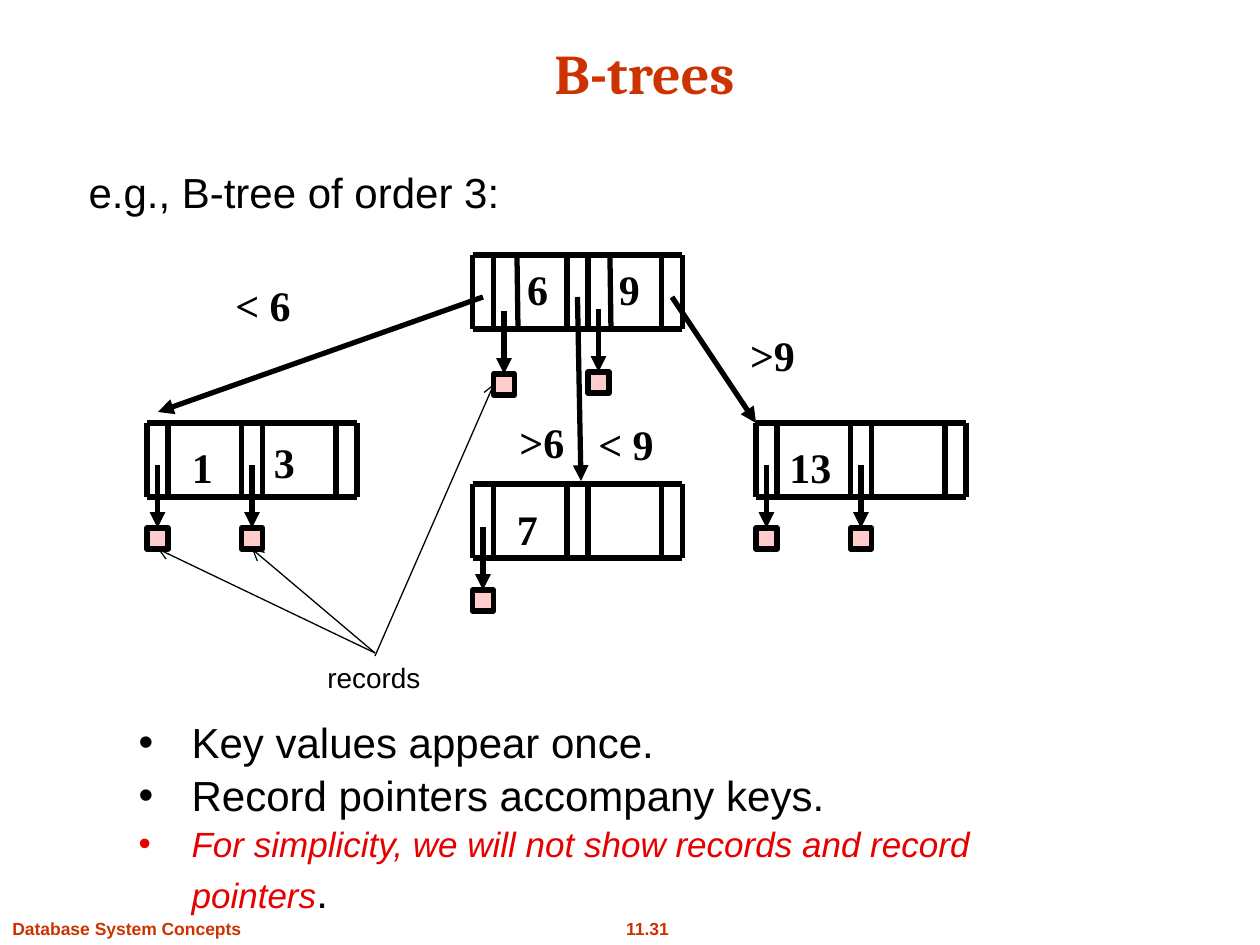
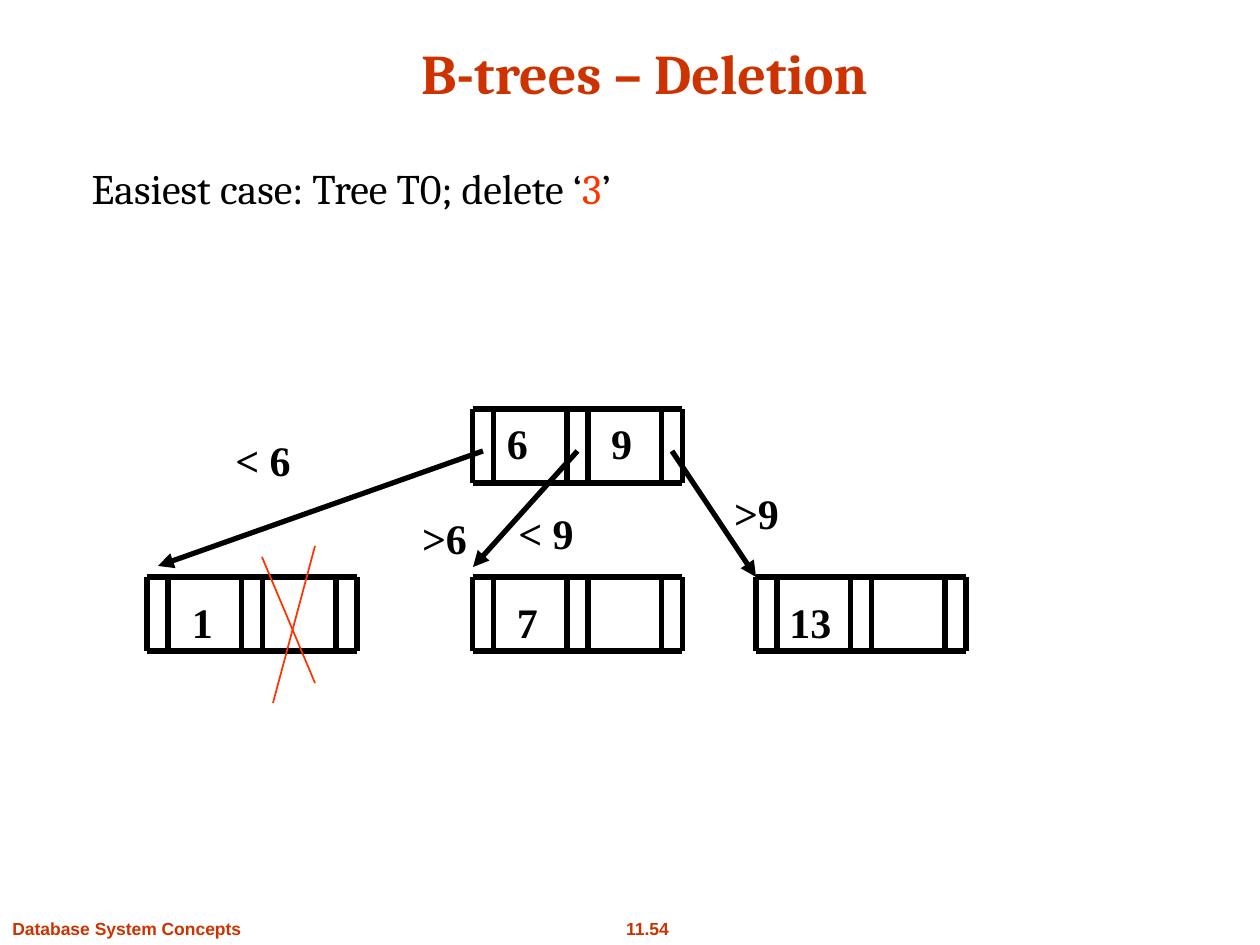
from dataclasses import dataclass

from lxml import etree
from pptx import Presentation, util as u
from pptx.dml.color import RGBColor
from pptx.enum import shapes, text
from pptx.oxml.ns import qn


# Colours, fonts and type sizes shared by the slides
@dataclass(frozen=True)
class Theme:
    ink: str = "000000"
    brand: str = "CC3300"
    note: str = "E60000"
    mark: str = "FF3300"
    pink: str = "FFCCCC"
    head: str = "Cambria"
    sans: str = "Arial"
    serif: str = "Times New Roman"
    title: int = 32
    body: int = 24
    aside: int = 20
    small: int = 16
    foot: int = 10
    thick: float = 3
    thin: float = 0.75
    lead: float = 1.05


T = Theme()
MID, LEFT = text.PP_ALIGN.CENTER, text.PP_ALIGN.LEFT

# Node geometry: pointer columns, one pitch apart
PTR, PITCH, TALL = 21, 94.5, 74
WIDE = 2 * PITCH + PTR
LEAF, ROOT, RIGHT = 147, 472.5, 756


def px(n):
    return u.Emu(round(n * 914400 / 126))


def style(run, font, size, color, bold=False, italic=False):
    run.font.name, run.font.size = font, u.Pt(size)
    run.font.bold, run.font.italic = bold, italic
    run.font.color.rgb = RGBColor.from_string(color)


def place(shape, box):
    shape.left, shape.top, shape.width, shape.height = map(px, box)


def fill(para, parts):
    """Write styled runs; each part is (words, font, size, colour, ...)."""
    for words, *look in parts:
        run = para.add_run()
        run.text = words
        style(run, *look)
    para.line_spacing = T.lead
    para.space_before = u.Pt(0)


def label(slide, words, box, font=T.serif, size=T.body, color=T.ink,
          bold=True, align=MID):
    shape = slide.shapes.add_textbox(*map(px, box))
    shape.text_frame.word_wrap = False
    para = shape.text_frame.paragraphs[0]
    para.alignment = align
    fill(para, [(words, font, size, color, bold)])


def line(group, start, end, color=T.ink, width=T.thick, tip=None):
    link = group.add_connector(shapes.MSO_CONNECTOR.STRAIGHT,
                               *map(px, (*start, *end)))
    link.line.color.rgb = RGBColor.from_string(color)
    link.line.width = u.Pt(width)
    if tip:
        etree.SubElement(link.line._get_or_add_ln(), qn("a:tailEnd"), type=tip)
    etree.SubElement(link._element.spPr, qn("a:effectLst"))


def node(slide, x, y):
    """Two key cells between three pointer columns."""
    group = slide.shapes.add_group_shape().shapes
    for col in range(3):
        for edge in (0, PTR):
            at = x + col * PITCH + edge
            line(group, (at, y), (at, y + TALL))
    for at in (y, y + TALL):
        line(group, (x, at), (x + WIDE, at))


def record(slide, x, y):
    """A record box hanging below a pointer that starts at x, y."""
    line(slide.shapes, (x, y), (x, y + 63), tip="triangle")
    box = slide.shapes.add_shape(shapes.MSO_SHAPE.RECTANGLE,
                                 *map(px, (x - PTR / 2, y + 63, PTR, PTR)))
    box.shadow.inherit = False
    box.fill.solid()
    box.fill.fore_color.rgb = RGBColor.from_string(T.pink)
    box.line.color.rgb = RGBColor.from_string(T.ink)
    box.line.width = u.Pt(T.thick)


def tree(slide, top, low, mid, tip):
    """A root at top, outer leaves at low, a middle leaf at mid."""
    for x, y in ((ROOT, top), (LEAF, low), (ROOT, mid), (RIGHT, low)):
        node(slide, x, y)
    ends = ((LEAF + 11, low - 11), tip, (RIGHT, low))
    for col, end in enumerate(ends):
        start = (ROOT + PTR / 2 + col * PITCH, top + 42)
        line(slide.shapes, start, end, tip="triangle")


def keys(slide, spots):
    for words, x, y, wide in spots:
        label(slide, words, (x, y, wide, 63))


def intro(slide, box, parts):
    shape = slide.placeholders[1]
    place(shape, box)
    shape.text_frame.auto_size = text.MSO_AUTO_SIZE.NONE
    para = shape.text_frame.paragraphs[0]
    fill(para, parts)
    etree.SubElement(para._p.get_or_add_pPr(), qn("a:buNone"))


def points(slide, box, items):
    shape = slide.placeholders[2]
    place(shape, box)
    frame = shape.text_frame
    frame.auto_size = text.MSO_AUTO_SIZE.NONE
    for i, parts in enumerate(items):
        para = frame.add_paragraph() if i else frame.paragraphs[0]
        fill(para, parts)
        props = para._p.get_or_add_pPr()
        props.set("marL", str(px(53)))
        props.set("indent", str(-px(53)))
        etree.SubElement(props, qn("a:buSzPts"), val=str(T.body * 100))
        etree.SubElement(props, qn("a:buChar"), char="•")


def start(prs, layout, title, page):
    """Add a slide with its title and footer."""
    slide = prs.slides.add_slide(prs.slide_layouts[layout])
    head = slide.shapes.title
    place(head, (88, 28, 1113, 84))
    frame = head.text_frame
    frame.text = title
    frame.auto_size = text.MSO_AUTO_SIZE.NONE
    frame.vertical_anchor = text.MSO_ANCHOR.BOTTOM
    frame.paragraphs[0].alignment = MID
    style(frame.paragraphs[0].runs[0], T.head, T.title, T.brand, True)
    foot = (T.sans, T.foot, T.brand, True)
    label(slide, page, (612, 911, 71, 34), *foot)
    label(slide, "Database System Concepts", (0, 911, 255, 34), *foot, LEFT)
    return slide


def order(prs):
    slide = start(prs, 3, "B-trees", "11.31")
    plain = (T.sans, T.body, T.ink)
    intro(slide, (76, 158, 1081, 100), [("e.g., B-tree of order 3:", *plain)])

    # Tree, with a record pointer beside each key
    tree(slide, 255, 423, 484, (581, 481))
    for x in (517, 610):
        line(slide.shapes, (x, 257), (x + 1, 328))
    half = PTR / 2
    for x in (LEAF, RIGHT):
        for col in range(2):
            record(slide, x + half + col * PITCH, 465)
    record(slide, ROOT + half, 527)
    record(slide, 504, 311)
    record(slide, 598.5, 309)
    keys(slide, [("1", 179, 433, 47), ("3", 261, 428, 47),
                 ("6", 514, 255, 47), ("7", 504, 495, 47),
                 ("9", 606, 255, 47), ("13", 777, 433, 67),
                 ("< 6", 222, 271, 82), (">6", 491, 408, 102),
                 ("< 9", 567, 410, 118), (">9", 737, 321, 71)])

    # Callout to the records
    label(slide, "records", (315, 653, 120, 47), T.sans, T.small,
          bold=False, align=LEFT)
    for y, end in ((656, (494, 384)), (653, (252, 549)), (653, (158, 549))):
        line(slide.shapes, (375, y), end, width=T.thin, tip="arrow")

    points(slide, (126, 708, 987, 165), [
        [("Key values appear once.", *plain)],
        [("Record pointers accompany keys.", *plain)],
        [("For simplicity, we will not show records and record pointers",
          T.sans, T.aside, T.note, False, True), (".", *plain)]])


def delete(prs):
    slide = start(prs, 1, "B-trees – Deletion", "11.54")
    plain = (T.head, T.body, T.ink)
    intro(slide, (79, 154, 1081, 100), [
        ("Easiest case: Tree T0; delete ‘", *plain),
        ("3", T.head, T.body, T.mark), ("’", *plain)])

    tree(slide, 409, 577, 577, (473, 567))
    keys(slide, [("1", 179, 588, 47), ("6", 494, 409, 47),
                 ("7", 504, 588, 47), ("9", 598, 409, 47),
                 ("13", 777, 588, 67), ("< 6", 222, 426, 82),
                 (">6", 409, 504, 71), ("< 9", 505, 499, 82),
                 (">9", 721, 479, 71)])

    # Cross over the deleted key
    for a, b in (((262, 557), (315, 683)), ((315, 546), (273, 703))):
        line(slide.shapes, a, b, T.mark, 1)


def main():
    prs = Presentation()
    prs.slide_width, prs.slide_height = px(1260), px(945)
    order(prs)
    delete(prs)
    prs.save("out.pptx")


main()
